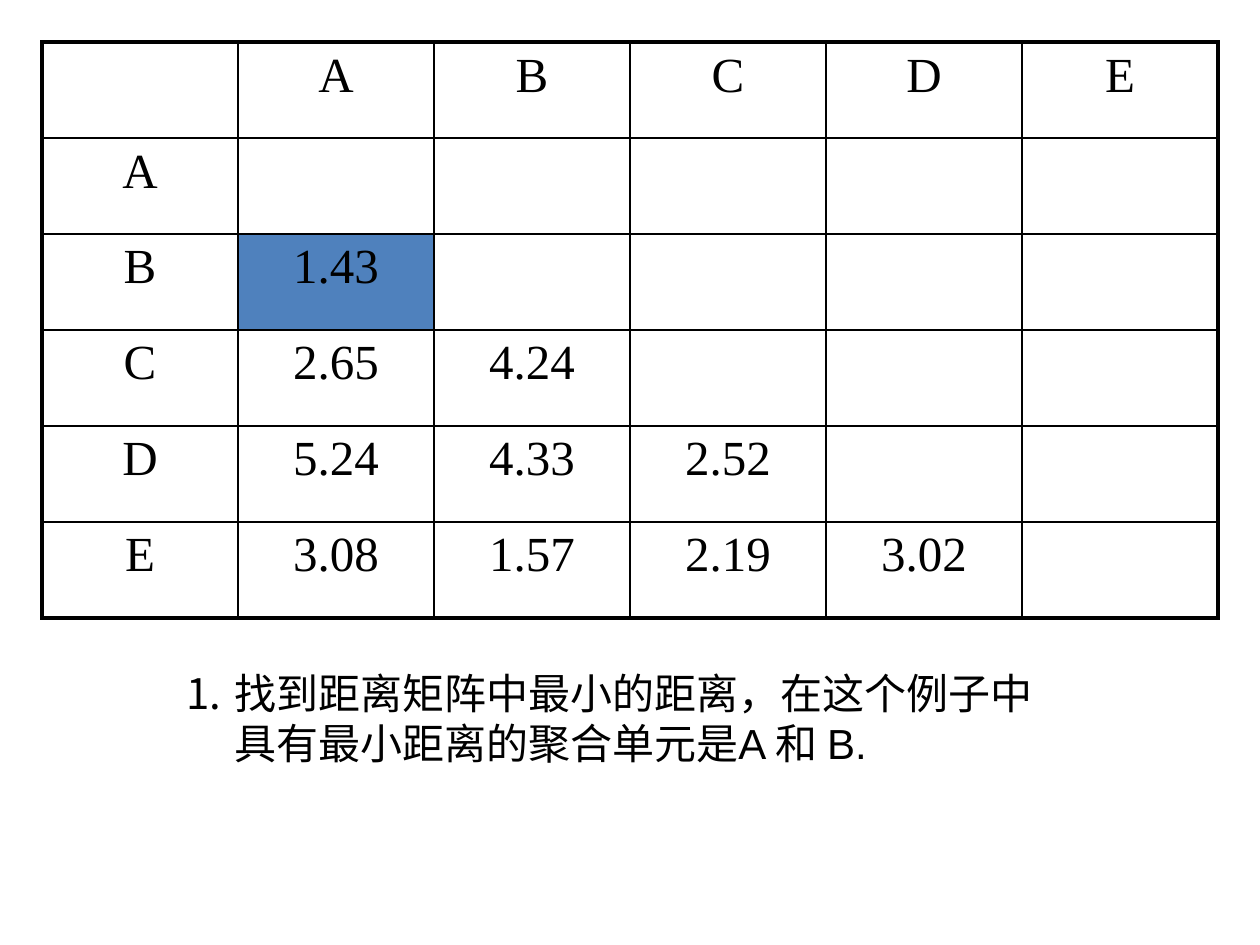
"""Build a slide with a distance matrix and the first clustering step."""
from dataclasses import dataclass

from pptx import Presentation
from pptx import util as u
from pptx.dml.color import RGBColor
from pptx.enum import text
from pptx.oxml.ns import qn
from lxml import etree

UNITS = ["A", "B", "C", "D", "E"]
DISTANCES = [
    [],
    ["1.43"],
    ["2.65", "4.24"],
    ["5.24", "4.33", "2.52"],
    ["3.08", "1.57", "2.19", "3.02"],
]
NEAREST = (2, 1)
STEP = ["找到距离矩阵中最小的距离，在这个例子中", "\t具有最小距离的聚合单元是A 和 B."]

SLIDE = (1260, 945)
MATRIX_AT = (42, 42)
CELL = (196, 96)
STEP_BOX = (174, 661, 871, 113)
STEP_INDENT = 48


@dataclass(frozen=True)
class Theme:
    ink: str = "000000"
    highlight: str = "4F81BD"
    matrix_font: str = "Times New Roman"
    step_font: str = "Arial"
    matrix_size: int = 28
    step_size: int = 24
    inner_line: float = 1
    outer_line: float = 2.25


THEME = Theme()


def px(length):
    return u.Emu(round(length * 914400 / 126))


def write(paragraph, words, *, font, size, align=None, indent=0, number=None):
    if indent:
        properties = paragraph._p.get_or_add_pPr()
        properties.set("marL", str(px(indent)))
        properties.set("indent", str(-px(indent)))
        if number:
            etree.SubElement(properties, qn("a:buAutoNum"), type=number)
        else:
            etree.SubElement(properties, qn("a:buNone"))
    paragraph.alignment = align
    run = paragraph.add_run()
    run.text = words
    run.font.name = font
    run.font.size = u.Pt(size)
    run.font.color.rgb = RGBColor.from_string(THEME.ink)


def draw_borders(cell, outer_sides):
    properties = cell._tc.get_or_add_tcPr()
    for side in "LRTB":
        width = THEME.outer_line if side in outer_sides else THEME.inner_line
        border = etree.SubElement(properties, qn(f"a:ln{side}"), w=str(u.Pt(width)))
        fill = etree.SubElement(border, qn("a:solidFill"))
        etree.SubElement(fill, qn("a:srgbClr"), val=THEME.ink)


def add_matrix(slide):
    rows = [[""] + UNITS] + [[unit] + values for unit, values in zip(UNITS, DISTANCES)]
    count = len(rows)
    matrix = slide.shapes.add_table(
        count, count, *map(px, MATRIX_AT), *(px(side * count) for side in CELL)
    ).table
    matrix.first_row = matrix.horz_banding = False
    last = count - 1
    for r, row in enumerate(rows):
        matrix.columns[r].width, matrix.rows[r].height = map(px, CELL)
        for c in range(count):
            cell = matrix.cell(r, c)
            edges = {"L": c == 0, "R": c == last, "T": r == 0, "B": r == last}
            draw_borders(cell, [side for side, outer in edges.items() if outer])
            if (r, c) == NEAREST:
                cell.fill.solid()
                cell.fill.fore_color.rgb = RGBColor.from_string(THEME.highlight)
            else:
                cell.fill.background()
            if c < len(row) and row[c]:
                write(cell.text_frame.paragraphs[0], row[c], font=THEME.matrix_font,
                      size=THEME.matrix_size, align=text.PP_ALIGN.CENTER)


def add_step(slide):
    frame = slide.shapes.add_textbox(*map(px, STEP_BOX)).text_frame
    frame.word_wrap = False
    frame.auto_size = text.MSO_AUTO_SIZE.SHAPE_TO_FIT_TEXT
    for index, line in enumerate(STEP):
        paragraph = frame.add_paragraph() if index else frame.paragraphs[0]
        write(paragraph, line, font=THEME.step_font, size=THEME.step_size,
              indent=STEP_INDENT, number=None if index else "arabicPeriod")


def main():
    deck = Presentation()
    deck.slide_width, deck.slide_height = map(px, SLIDE)
    slide = deck.slides.add_slide(deck.slide_layouts[6])
    add_matrix(slide)
    add_step(slide)
    deck.save("out.pptx")


if __name__ == "__main__":
    main()
